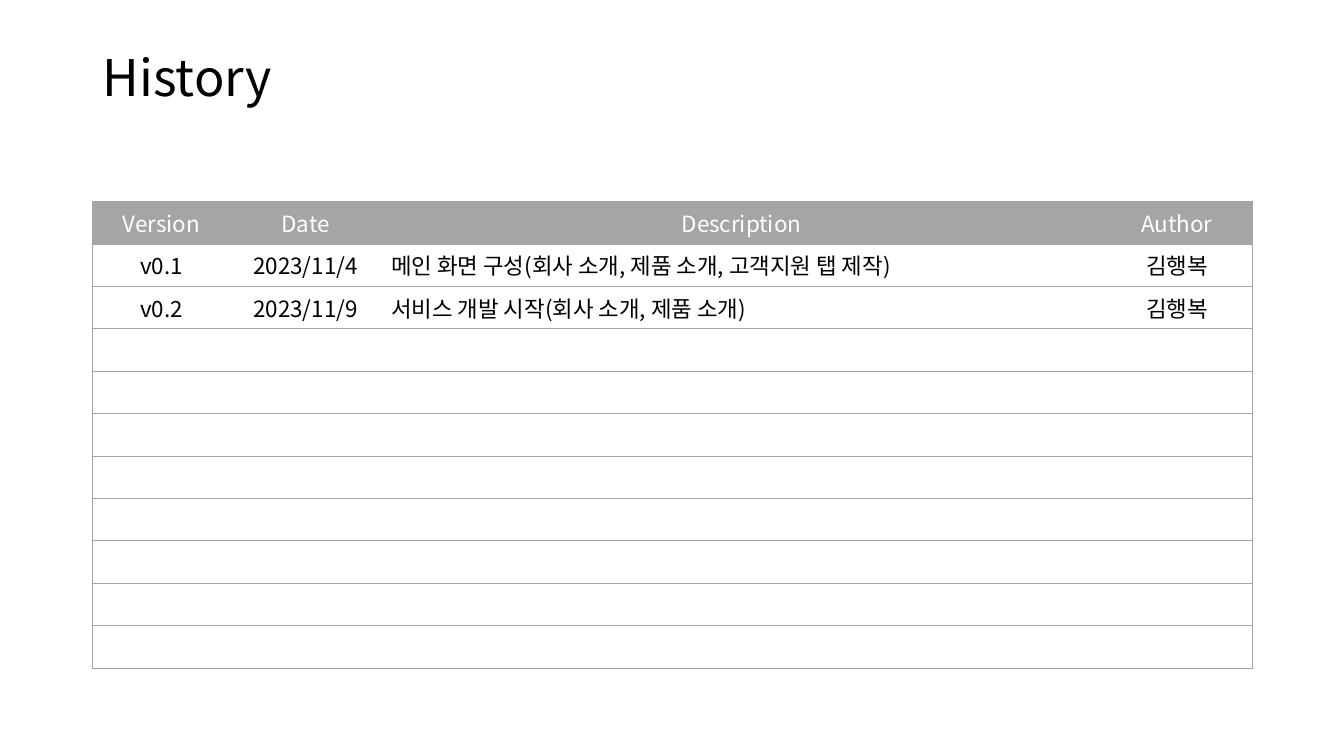
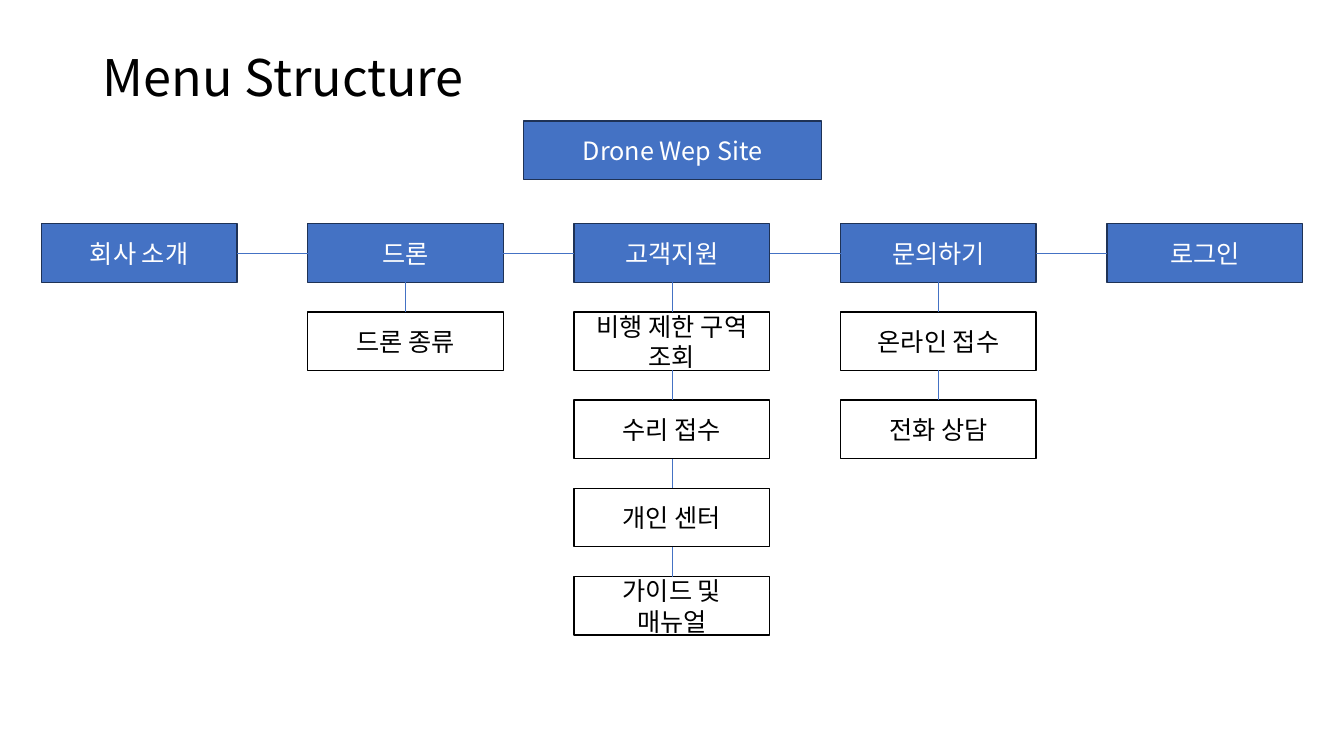
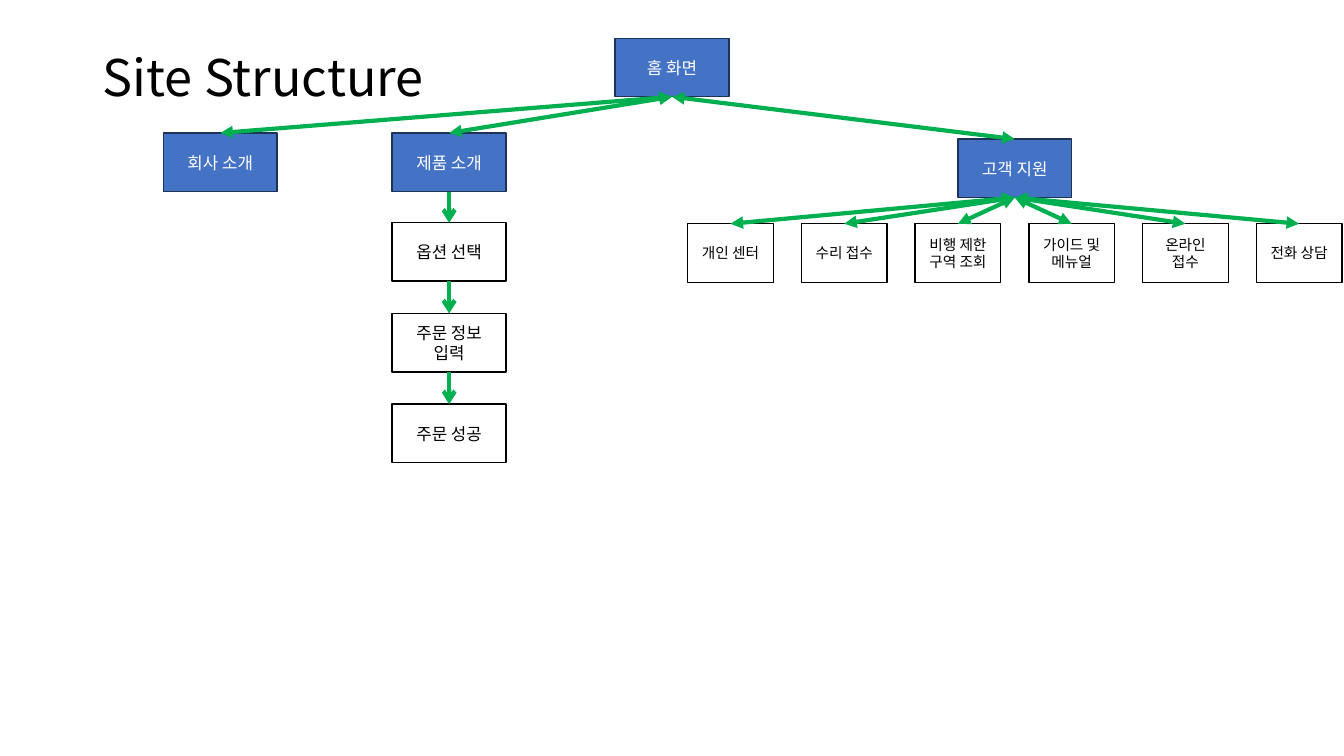
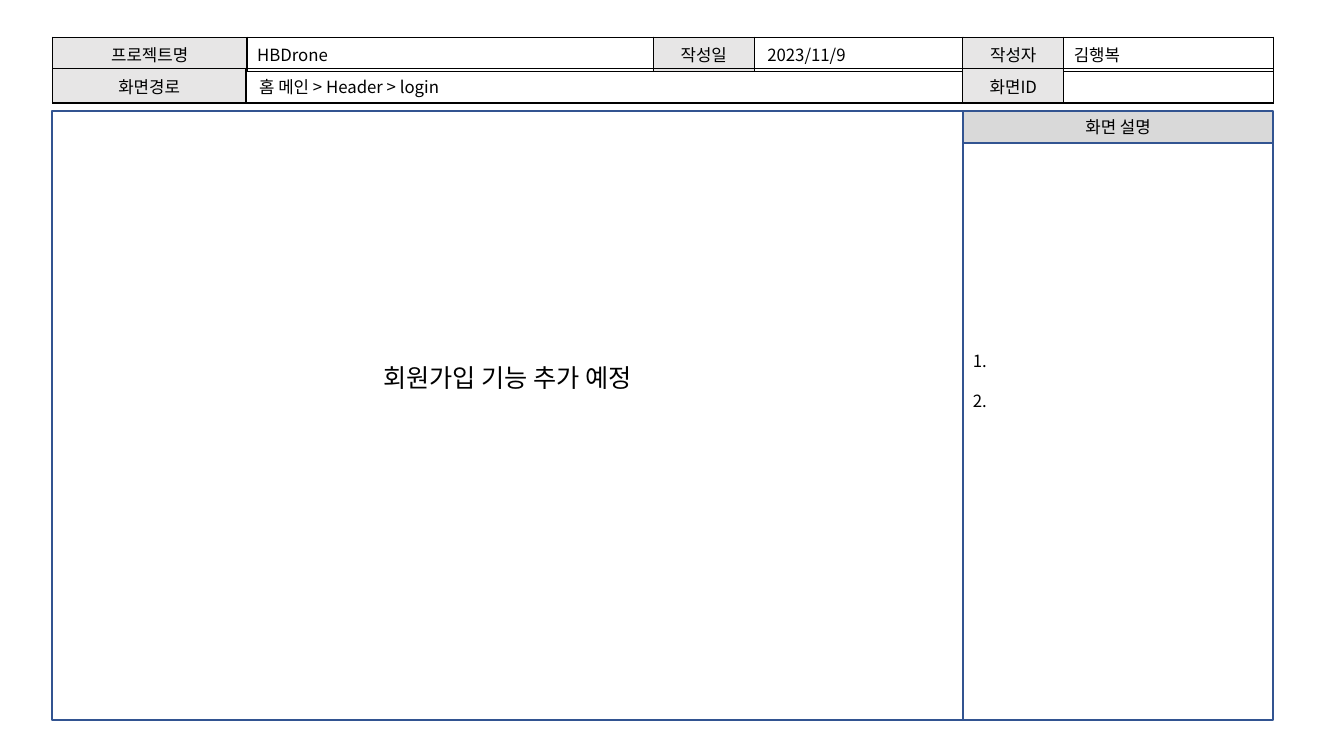
from lxml import etree
from pptx import Presentation, util as u
from pptx.dml.color import RGBColor
from pptx.enum import shapes, text
from pptx.oxml.ns import qn

FONT = "Noto Sans CJK KR"
BLUE, NAVY, GREEN, GRAY = "4472C4", "1E3256", "00B050", "A5A5A5"
WHITE, BLACK, PALE, FRAME = "FFFFFF", "000000", "E7E6E6", "325491"
LEFT, MID = text.PP_ALIGN.LEFT, text.PP_ALIGN.CENTER
PLAIN = "{2D5ABB26-0587-4C30-8999-92F81FD0307C}"
TOP, BOTTOM = 0, 2
BOX = 0.58

HEADS = ["Version", "Date", "Description", "Author"]
WIDTHS = [1.36, 1.5, 7.15, 1.49]
LOG = [
    ["v0.1", "2023/11/4", "메인 화면 구성(회사 소개, 제품 소개, 고객지원 탭 제작)", "김행복"],
    ["v0.2", "2023/11/9", "서비스 개발 시작(회사 소개, 제품 소개)", "김행복"],
]
SPARE = 8

ROOT = "Drone Wep Site"
MENU = [
    ("회사 소개", []),
    ("드론", ["드론 종류"]),
    ("고객지원", ["비행 제한 구역 조회", "수리 접수", "개인 센터", "가이드 및\n매뉴얼"]),
    ("문의하기", ["온라인 접수", "전화 상담"]),
    ("로그인", []),
]

HOME = "홈 화면"
PAGES = [("회사 소개", 1.62, 1.32), ("제품 소개", 3.89, 1.32), ("고객 지원", 9.5, 1.38)]
ORDER = ["옵션 선택", "주문 정보 입력", "주문 성공"]
HELP = ["개인 센터", "수리 접수", "비행 제한 구역 조회", "가이드 및 메뉴얼", "온라인 접수", "전화 상담"]

FORMS = [
    ("프로젝트명", "HBDrone", 0.52, 0.37, 1.93, 4.03, 0.1),
    ("작성일", "2023/11/9", 6.48, 0.37, 1, 2.08, 0.13),
    ("작성자", "김행복", 9.55, 0.37, 1, 2.08, 0.1),
    ("화면경로", "홈 메인 > Header > login", 0.52, 0.68, 1.92, 7.11, 0.13),
    ("화면ID", "", 9.55, 0.68, 1, 2.08, 0.1),
]


def rgb(code):
    return RGBColor.from_string(code)


def write(frame, words, size=12, color=BLACK, align=MID, gap=0, lead=None):
    for i, line in enumerate(words.split("\n")):
        para = frame.paragraphs[0] if i == 0 else frame.add_paragraph()
        para.alignment = align
        if i and gap:
            para.space_before = u.Pt(gap)
        if lead:
            para.line_spacing = lead
        if line:
            run = para.add_run()
            run.text = line
            font, mark = run.font, run._r.get_or_add_rPr()
        else:
            font = para.font
            mark = para._p.get_or_add_pPr().find(qn("a:defRPr"))
            end = etree.SubElement(para._p, qn("a:endParaRPr"))
            end.set("sz", str(size * 100))
        font.size, font.name = u.Pt(size), FONT
        font.color.rgb = rgb(color)
        etree.SubElement(mark, qn("a:ea")).set("typeface", FONT)


def title(deck, words):
    slide = deck.slides.add_slide(deck.slide_layouts[5])
    head = slide.shapes.title
    head.left, head.top, head.width, head.height = map(u.Inches, (0.92, 0.4, 11.5, 0.8))
    frame = head.text_frame
    frame.auto_size = text.MSO_AUTO_SIZE.NONE
    frame.vertical_anchor = text.MSO_ANCHOR.MIDDLE
    write(frame, words, size=36, align=LEFT, lead=0.9)
    return slide


def rect(slide, x, y, w, h, words="", fill=WHITE, line=BLACK, thick=1, **form):
    box = slide.shapes.add_shape(shapes.MSO_SHAPE.RECTANGLE, *map(u.Inches, (x, y, w, h)))
    box.shadow.inherit = False
    if fill:
        box.fill.solid()
        box.fill.fore_color.rgb = rgb(fill)
    else:
        box.fill.background()
    box.line.color.rgb, box.line.width = rgb(line), u.Pt(thick)
    if words:
        box.text_frame.word_wrap = True
        box.text_frame.vertical_anchor = text.MSO_ANCHOR.MIDDLE
        write(box.text_frame, words, **form)
    return box


def main_box(slide, x, y, w, words, size):
    return rect(slide, x, y, w, BOX, words, fill=BLUE, line=NAVY, size=size, color=WHITE)


def join(slide, a, b, sides=(BOTTOM, TOP), color=BLUE, thick=0.5, head=None, tail=None):
    link = slide.shapes.add_connector(shapes.MSO_CONNECTOR.STRAIGHT, 0, 0, 0, 0)
    link.begin_connect(a, sides[0])
    link.end_connect(b, sides[1])
    link.line.color.rgb, link.line.width = rgb(color), u.Pt(thick)
    line = link.line._get_or_add_ln()
    for tag, kind in (("a:headEnd", head), ("a:tailEnd", tail)):
        if kind:
            etree.SubElement(line, qn(tag)).set("type", kind)
    etree.SubElement(link._element.spPr, qn("a:effectLst"))


def arrow(slide, a, b, head=None, tail="triangle"):
    join(slide, a, b, color=GREEN, thick=3, head=head, tail=tail)


def grid(slide, x, y, cols, rows, high):
    size = map(u.Inches, (x, y, sum(cols), rows * high))
    table = slide.shapes.add_table(rows, len(cols), *size).table
    table.first_row = table.horz_banding = False
    table._tbl.tblPr.find(qn("a:tableStyleId")).text = PLAIN
    for col, wide in zip(table.columns, cols):
        col.width = u.Inches(wide)
    for row in table.rows:
        row.height = u.Inches(high)
    return table


def style(cell, sides, color, thick, fill=None):
    if fill:
        cell.fill.solid()
        cell.fill.fore_color.rgb = rgb(fill)
    else:
        cell.fill.background()
    props = cell._tc.get_or_add_tcPr()
    for i, side in enumerate("LRTB"):
        line = etree.Element(qn("a:ln" + side))
        if side in sides:
            line.set("w", str(u.Pt(thick)))
            paint = etree.SubElement(line, qn("a:solidFill"))
            etree.SubElement(paint, qn("a:srgbClr")).set("val", color)
        else:
            etree.SubElement(line, qn("a:noFill"))
        props.insert(i, line)


def history(deck):
    slide = title(deck, "History")
    rows = [HEADS] + LOG + [[""] * len(HEADS)] * SPARE
    table = grid(slide, 0.92, 2, WIDTHS, len(rows), 0.41)
    last = len(HEADS) - 1
    for r, row in enumerate(rows):
        for c, words in enumerate(row):
            cell = table.cell(r, c)
            sides = "TB" + ("L" if c == 0 else "R" if c == last else "")
            style(cell, sides, GRAY, 0.5, fill=None if r else GRAY)
            align = LEFT if r and c == 2 else MID
            write(cell.text_frame, words, size=16, color=BLACK if r else WHITE, align=align)


def menu(deck):
    slide = title(deck, "Menu Structure")
    main_box(slide, 5.19, 1.2, 2.96, ROOT, 18)
    left, top, wide = 0.41, 2.22, 1.94
    across, down = (10.98 - left) / (len(MENU) - 1), (5.72 - top) / 4
    prior = None
    for i, (name, items) in enumerate(MENU):
        x = left + i * across
        head = above = main_box(slide, x, top, wide, name, 18)
        if prior:
            join(slide, prior, head, sides=(3, 1))
        prior = head
        for j, item in enumerate(items, 1):
            box = rect(slide, x, top + j * down, wide, BOX, item, size=18)
            join(slide, above, box)
            above = box


def site(deck):
    slide = title(deck, "Site Structure")
    wide = 1.13
    home = main_box(slide, 6.1, 0.38, wide, HOME, 12)
    pages = [main_box(slide, x, y, wide, name, 12) for name, x, y in PAGES]
    steps = [rect(slide, 3.89, 2.21 + i * 0.9, wide, BOX, name) for i, name in enumerate(ORDER)]
    step = (12.46 - 6.82) / (len(HELP) - 1)
    helps = [rect(slide, 6.82 + i * step, 2.22, 0.85, BOX, name, size=10.5)
             for i, name in enumerate(HELP)]
    for hub, leaves in ((home, pages), (pages[2], helps)):
        for leaf in leaves:
            arrow(slide, hub, leaf, head="triangle")
    for a, b in zip([pages[1]] + steps, steps):
        arrow(slide, a, b, tail="arrow")


def screen(deck):
    slide = deck.slides.add_slide(deck.slide_layouts[6])
    for label, value, x, y, first, second, pad in FORMS:
        table = grid(slide, x, y, [first, second], 1, 0.32)
        for c, (words, fill, align) in enumerate(((label, PALE, MID), (value, None, LEFT))):
            cell = table.cell(0, c)
            style(cell, "LRTB", BLACK, 1, fill=fill)
            write(cell.text_frame, words, align=align)
        table.cell(0, 1).margin_left = u.Inches(pad)
    edge = dict(line=FRAME, thick=1.5)
    rect(slide, 0.52, 1.1, 9.03, 6.04, fill=None, **edge)
    rect(slide, 9.55, 1.1, 3.08, 0.32, "화면 설명", fill="D9D9D9", **edge)
    note = rect(slide, 9.55, 1.42, 3.08, 5.72, "1.\n2.", fill=None, align=LEFT, gap=14.4, **edge)
    note.text_frame.vertical_anchor = text.MSO_ANCHOR.TOP
    note.text_frame.margin_top = u.Inches(2.06)
    plan = slide.shapes.add_textbox(*map(u.Inches, (3.33, 3.55, 3.41, 0.4)))
    plan.text_frame.word_wrap = True
    write(plan.text_frame, "회원가입 기능 추가 예정", size=18)


def main():
    deck = Presentation()
    deck.slide_width, deck.slide_height = u.Inches(13.33), u.Inches(7.5)
    for build in (history, menu, site, screen):
        build(deck)
    deck.save("out.pptx")


if __name__ == "__main__":
    main()
